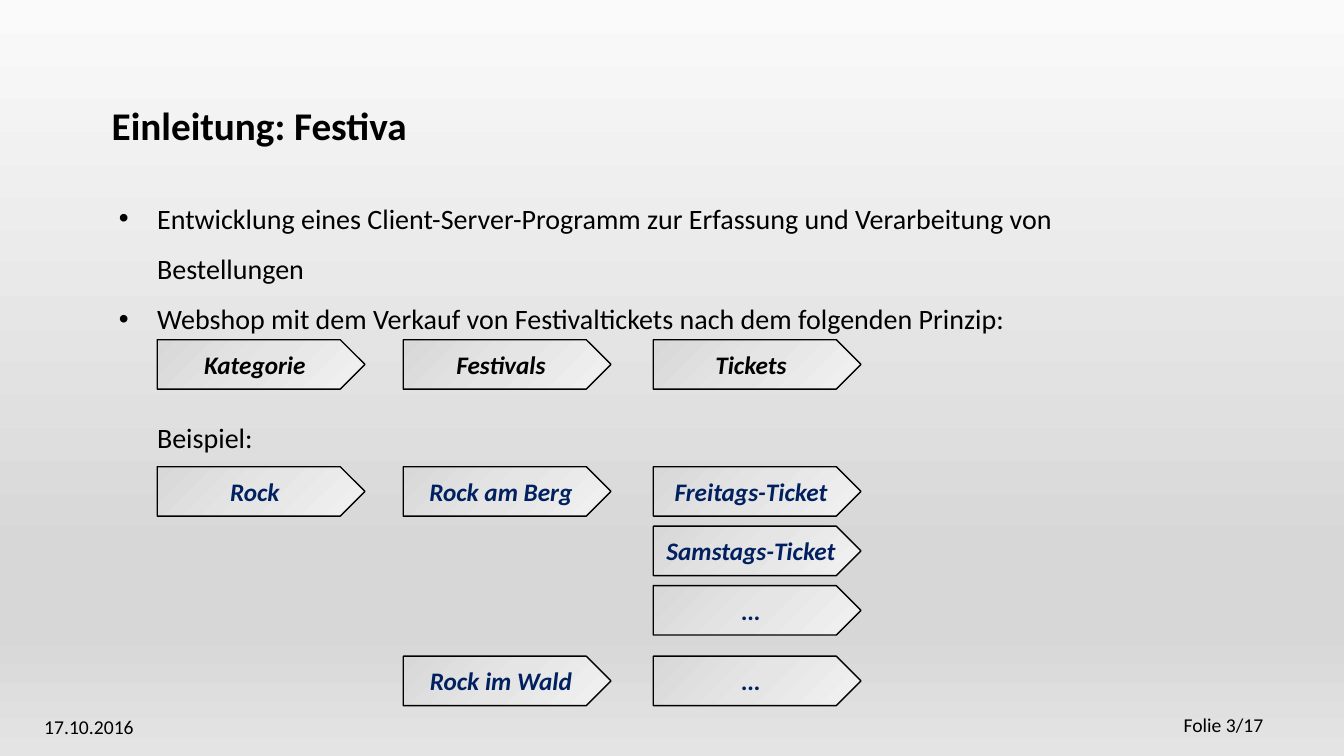
from lxml import etree
from pptx import Presentation
from pptx.dml.color import RGBColor as Color
from pptx.enum.shapes import MSO_SHAPE as Shape
from pptx.enum.text import MSO_ANCHOR as Anchor, PP_ALIGN as Align
from pptx.oxml.ns import nsdecls, qn
from pptx.util import Inches, Pt

COLORS = {"black": "000000", "navy": "002060"}
BACK = [(0, "FAFAFA"), (74, "D7D7D7"), (83, "D7D7D7"), (100, "E4E4E4")]
PLATE = [(0, "D8D8D8"), (50, "E5E5E5"), (100, "F2F2F2")]
DOWN = '<a:lin ang="5400000" scaled="0"/>'
CORNER = '<a:path path="circle"><a:fillToRect r="100000" b="100000"/></a:path>'

PLAIN = {"name": "Calibri", "size": Pt(20), "bold": False, "italic": False}
TITLE = {**PLAIN, "size": Pt(28), "bold": True}
SMALL = {**PLAIN, "size": Pt(14)}
LABEL = {**PLAIN, "size": Pt(18), "bold": True, "italic": True}

BULLETS = [
    "Entwicklung eines Client-Server-Programm zur Erfassung und Verarbeitung von Bestellungen",
    "Webshop mit dem Verkauf von Festivaltickets nach dem folgenden Prinzip:",
]
# text, left, top, width, height, format
TEXTS = [
    ("Einleitung: Festiva", 1.01, 0.96, 7.36, 0.57, TITLE),
    ("Beispiel:", 1.46, 4.12, 2, 0.44, PLAIN),
    ("17.10.2016", 0.34, 7.04, 1.92, 0.34, SMALL),
    ("Folie 3/17", 11.64, 7.02, 1.61, 0.34, SMALL),
]
COLS = [1.56, 4, 6.48]
PLATE_W, PLATE_H = 2.06, 0.49
# top, colour, one label per column
ROWS = [
    (3.37, "black", ["Kategorie", "Festivals", "Tickets"]),
    (4.63, "navy", ["Rock", "Rock am Berg", "Freitags-Ticket"]),
    (5.22, "navy", [None, None, "Samstags-Ticket"]),
    (5.81, "navy", [None, None, "…"]),
    (6.51, "navy", [None, "Rock im Wald", "…"]),
]


def shade(root, stops, course):
    """Replace the gradient found under root by these stops and course."""
    old = next(root.iter(qn("a:gradFill")))
    marks = "".join(
        f'<a:gs pos="{pos * 1000}"><a:srgbClr val="{tone}"/></a:gs>'
        for pos, tone in stops
    )
    new = etree.fromstring(
        f'<a:gradFill {nsdecls("a")} rotWithShape="1">'
        f"<a:gsLst>{marks}</a:gsLst>{course}</a:gradFill>"
    )
    old.getparent().replace(old, new)


def write(para, text, style, color="black"):
    run = para.add_run()
    run.text = text
    for key, value in style.items():
        setattr(run.font, key, value)
    run.font.color.rgb = Color.from_string(COLORS[color])


def add_box(slide, left, top, width, height):
    box = slide.shapes.add_textbox(*map(Inches, (left, top, width, height)))
    box.text_frame.word_wrap = True
    return box.text_frame


def add_list(slide):
    frame = add_box(slide, 1.08, 1.78, 10.79, 1.63)
    for i, text in enumerate(BULLETS):
        para = frame.add_paragraph() if i else frame.paragraphs[0]
        para.line_spacing = 1.5
        write(para, text, PLAIN)
        props = para._p.get_or_add_pPr()
        props.set("marL", str(Inches(0.38)))
        props.set("indent", str(Inches(-0.38)))
        etree.SubElement(props, qn("a:buFont")).set("typeface", "Arial")
        etree.SubElement(props, qn("a:buChar")).set("char", "•")


def add_plate(slide, left, top, text, color):
    plate = slide.shapes.add_shape(
        Shape.PENTAGON, *map(Inches, (left, top, PLATE_W, PLATE_H))
    )
    plate.shadow.inherit = False
    plate.fill.gradient()
    shade(plate._element, PLATE, CORNER)
    plate.line.color.rgb = Color.from_string(COLORS["black"])
    plate.line.width = Pt(1)
    frame = plate.text_frame
    frame.word_wrap = False
    frame.vertical_anchor = Anchor.MIDDLE
    for side in ("left", "right", "top", "bottom"):
        setattr(frame, f"margin_{side}", 0)
    frame.paragraphs[0].alignment = Align.CENTER
    write(frame.paragraphs[0], text, LABEL, color)


def main():
    deck = Presentation()
    deck.slide_width, deck.slide_height = Inches(13.33), Inches(7.5)
    slide = deck.slides.add_slide(deck.slide_layouts[6])
    slide.background.fill.gradient()
    shade(slide.element, BACK, DOWN)

    for text, *place, style in TEXTS:
        write(add_box(slide, *place).paragraphs[0], text, style)
    add_list(slide)
    for top, color, labels in ROWS:
        for left, text in zip(COLS, labels):
            if text:
                add_plate(slide, left, top, text, color)
    deck.save("out.pptx")


if __name__ == "__main__":
    main()
